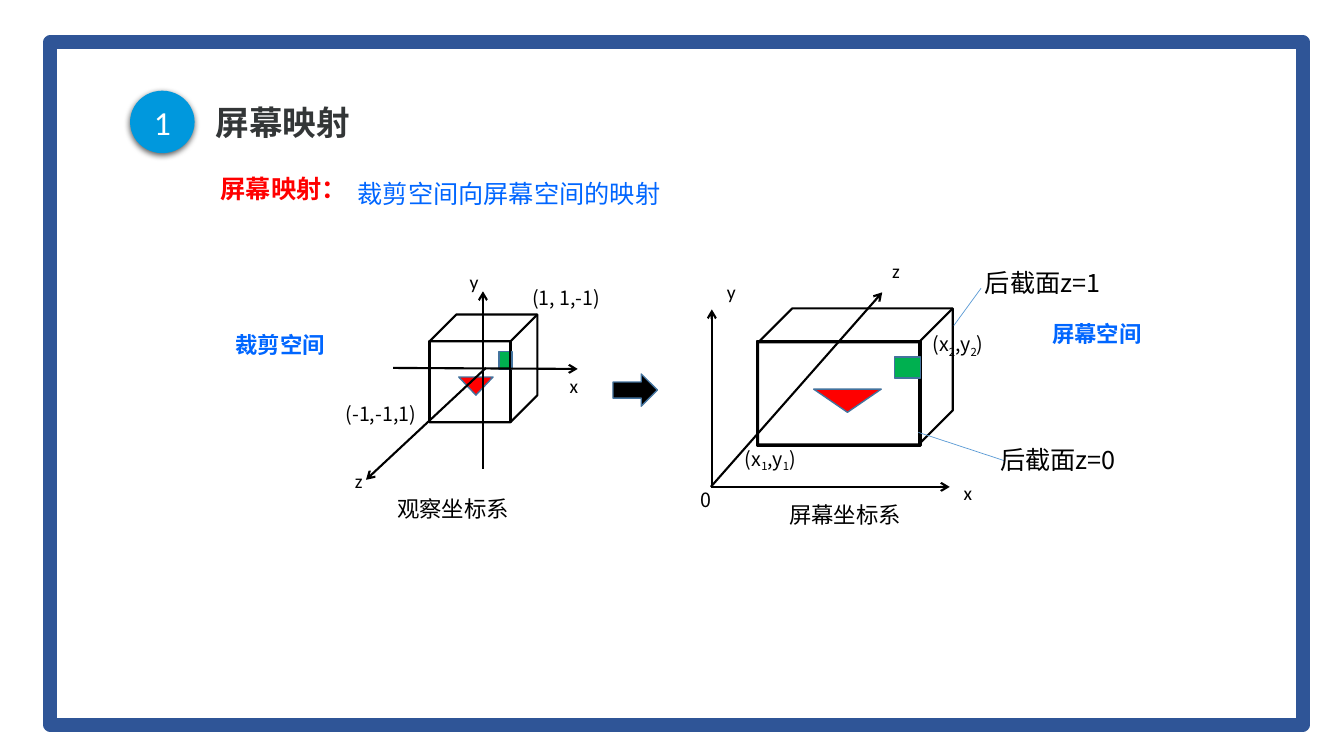
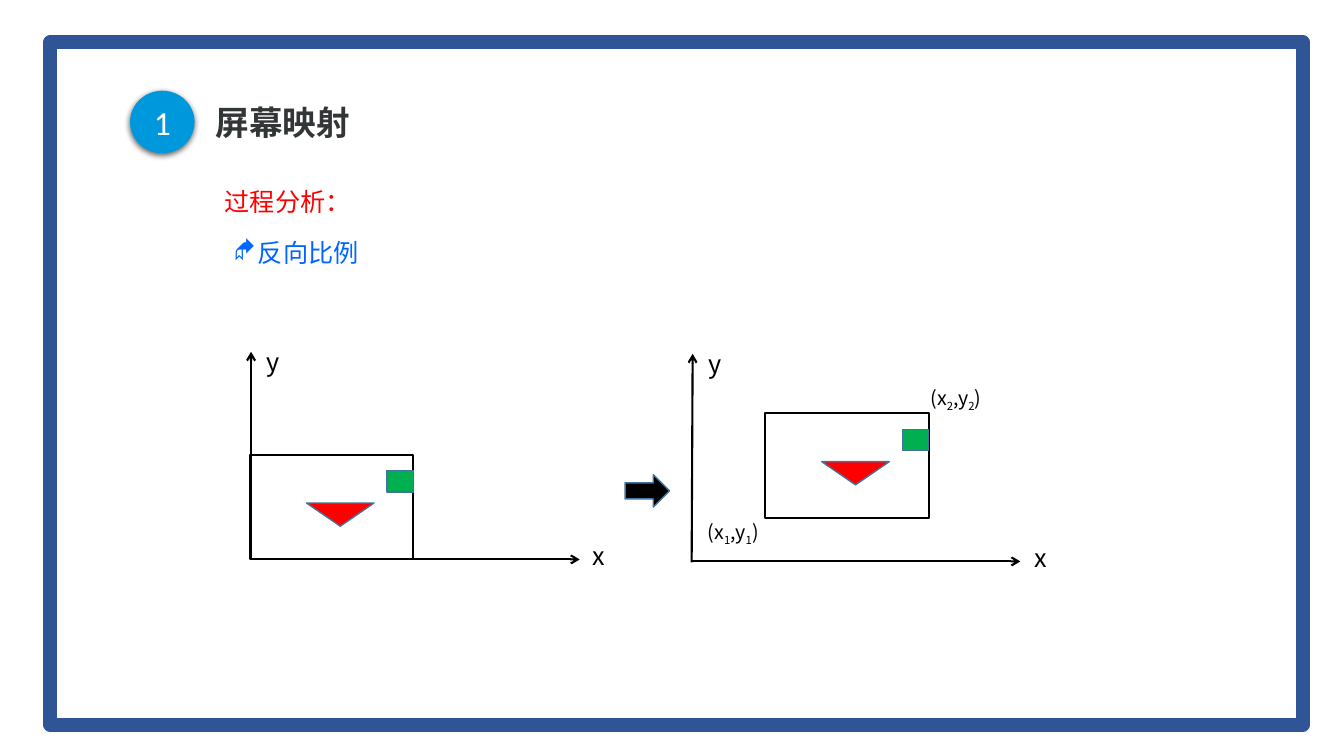
"""Two slides on mapping clip space to screen space."""
from lxml import etree
from pptx import Presentation, util as u
from pptx.dml.color import RGBColor
from pptx.enum import shapes, text
from pptx.oxml.ns import qn

PX = 9144
SANS, LATIN = "Noto Sans CJK SC", "Calibri"
HUE = {"white": "FFFFFF", "black": "000000", "frame": "2F5597", "title": "333637",
       "badge": "0098DD", "edge": "43739E", "red": "FF0000", "green": "00B050",
       "blue": "0066FF", "lead": "5B9BD5"}
KIND = shapes.MSO_SHAPE
TITLE = "屏幕映射"
RED = dict(size=18, color="red")
BLUE = dict(size=18, color="blue")
AXIS = dict(size=14, font=LATIN)
MARK = dict(size=14)
NAME = dict(size=16)
SPACE = dict(size=16, color="blue", bold=True, align="CENTER")
BIG = dict(size=18)

SLIDES = [
    dict(
        boxes=[
            ("RIGHT_ARROW", (608, 371, 44, 32), "black", "edge"),
            ("RECTANGLE", (426, 338, 81, 81), None, "black"),
            ("ISOSCELES_TRIANGLE", (455, 374, 34, 18), "red", "edge"),
            ("RECTANGLE", (495, 349, 13, 17), "green", "edge"),
            ("CUBE", (426, 312, 107, 107), None, "black"),
            ("CUBE", (752, 306, 193, 135), None, "black"),
        ],
        views=[(751, 338)],
        axes=[
            (479, 465, 479, 289), (390, 365, 573, 366), (482, 365, 363, 476),
            (705, 483, 875, 290), (706, 484, 706, 307), (706, 483, 942, 483),
        ],
        leads=[(911, 429, 996, 457), (946, 323, 973, 286)],
        labels=[
            ("屏幕映射：", (209, 167, 150, 40), dict(RED, bold=True)),
            ("裁剪空间向屏幕空间的映射", (345, 157, 804, 56), dict(BLUE, space=1.5)),
            ("y", (456, 263, 29, 34), AXIS),
            ("x", (555, 366, 29, 34), AXIS),
            ("z", (342, 460, 28, 34), AXIS),
            ("(-1,-1,1)", (333, 394, 110, 34), MARK),
            ("(1, 1,-1)", (518, 279, 110, 34), MARK),
            ("观察坐标系", (384, 486, 186, 37), NAME),
            ("屏幕坐标系", (773, 492, 136, 37), NAME),
            ("(x_1,y_1)", (729, 438, 110, 34), MARK),
            ("(x_2,y_2)", (915, 324, 110, 34), MARK),
            ("x", (946, 472, 29, 34), AXIS),
            ("y", (711, 273, 29, 34), AXIS),
            ("z", (875, 252, 28, 34), AXIS),
            ("0", (685, 479, 110, 34), MARK),
            ("裁剪空间", (223, 324, 110, 37), SPACE),
            ("屏幕空间", (1033, 313, 110, 37), SPACE),
            ("后截面z=1", (967, 260, 160, 40), BIG),
            ("后截面z=0", (982, 436, 160, 40), BIG),
        ],
    ),
    dict(
        boxes=[("RIGHT_ARROW", (620, 471, 44, 32), "black", "edge")],
        views=[(248, 451), (759, 410)],
        axes=[
            (249, 556, 249, 349), (249, 555, 575, 555),
            (686, 558, 687, 351), (686, 557, 1012, 557),
        ],
        leads=[],
        labels=[
            ("过程分析：", (213, 180, 150, 40), RED),
            ("反向比例", (222, 231, 146, 40), dict(BLUE, bullet="◆")),
            ("x", (578, 531, 33, 40), BIG),
            ("y", (255, 339, 34, 40), BIG),
            ("(x_1,y_1)", (692, 511, 110, 34), MARK),
            ("(x_2,y_2)", (913, 378, 110, 34), MARK),
            ("x", (1016, 533, 33, 40), BIG),
            ("y", (693, 341, 34, 40), BIG),
        ],
    ),
]
VIEW = [
    ("RECTANGLE", (0, 0, 162, 104), None, "black"),
    ("ISOSCELES_TRIANGLE", (56, 48, 67, 23), "red", "edge"),
    ("RECTANGLE", (136, 16, 26, 21), "green", "edge"),
]


def emu(nums):
    return [n * PX for n in nums]


def rgb(name):
    return RGBColor.from_string(HUE[name])


def node(top, tag, **attrs):
    return etree.SubElement(top, qn(tag), attrs)


def write(shape, words, size=18, color="black", font=SANS, bold=False,
          align="LEFT", anchor="TOP", space=None, bullet=None):
    frame = shape.text_frame
    frame.word_wrap = True
    frame.vertical_anchor = text.MSO_ANCHOR[anchor]
    para = frame.paragraphs[0]
    para.alignment = text.PP_ALIGN[align]
    if space:
        para.line_spacing = space
    if bullet:
        props = para._p.get_or_add_pPr()
        props.set("marL", str(24 * PX))
        props.set("indent", str(-24 * PX))
        node(props, "a:buFont", typeface="Wingdings")
        node(props, "a:buChar", char=bullet)
    first, *rest = words.split("_")
    parts = [(first, False)]
    for part in rest:
        parts += [(part[0], True), (part[1:], False)]
    for part, sub in parts:
        run = para.add_run()
        run.text = part
        run.font.size = u.Pt(size)
        run.font.bold = bold
        run.font.name = font
        run.font.color.rgb = rgb(color)
        props = run._r.get_or_add_rPr()
        node(props, "a:ea", typeface=font)
        if sub:
            props.set("baseline", "-25000")


def label(slide, words, box, **style):
    write(slide.shapes.add_textbox(*emu(box)), words, **style)


def draw(tree, kind, box, fill, line, width=None):
    shape = tree.add_shape(KIND[kind], *emu(box))
    shape.shadow.inherit = False
    if fill:
        shape.fill.solid()
        shape.fill.fore_color.rgb = rgb(fill)
    else:
        shape.fill.background()
    if line:
        shape.line.color.rgb = rgb(line)
        shape.line.width = u.Pt(width or (1 if line == "edge" else 1.5))
    else:
        shape.line.fill.background()
    if kind == "ISOSCELES_TRIANGLE":
        shape.rotation = 180
    return shape


def link(slide, ends, color, width, head=False):
    line = slide.shapes.add_connector(shapes.MSO_CONNECTOR.STRAIGHT, *emu(ends))
    line.line.color.rgb = rgb(color)
    line.line.width = u.Pt(width)
    if head:
        node(line.line._get_or_add_ln(), "a:tailEnd", type="arrow")
    node(line._element.spPr, "a:effectLst")


def base(slide):
    draw(slide.shapes, "RECTANGLE", (50, 42, 1242, 677), None, "frame", 10)
    label(slide, TITLE, (204, 93, 835, 61), size=24, color="title", bold=True,
          anchor="MIDDLE", space=0.9)
    badge = draw(slide.shapes, "OVAL", (129, 90, 64, 62), "badge", None)
    glow = node(badge._element.spPr.find(qn("a:effectLst")), "a:outerShdw",
                blurRad=str(u.Pt(4.5)), dist=str(u.Pt(1.5)), dir="5400000",
                algn="t", rotWithShape="0")
    node(node(glow, "a:srgbClr", val=HUE["black"]), "a:alpha", val="63000")
    write(badge, "1", size=24, color="white", font=LATIN, align="CENTER", anchor="MIDDLE")


def main():
    deck = Presentation()
    deck.slide_width, deck.slide_height = emu((1333, 750))
    for data in SLIDES:
        slide = deck.slides.add_slide(deck.slide_layouts[6])
        base(slide)
        for box in data["boxes"]:
            draw(slide.shapes, *box)
        for left, top in data["views"]:
            group = slide.shapes.add_group_shape()
            for kind, (x, y, w, h), fill, line in VIEW:
                draw(group.shapes, kind, (left + x, top + y, w, h), fill, line)
        for ends in data["axes"]:
            link(slide, ends, "black", 1.5, head=True)
        for ends in data["leads"]:
            link(slide, ends, "lead", 0.5)
        for words, box, style in data["labels"]:
            label(slide, words, box, **style)
    deck.save("out.pptx")


if __name__ == "__main__":
    main()
